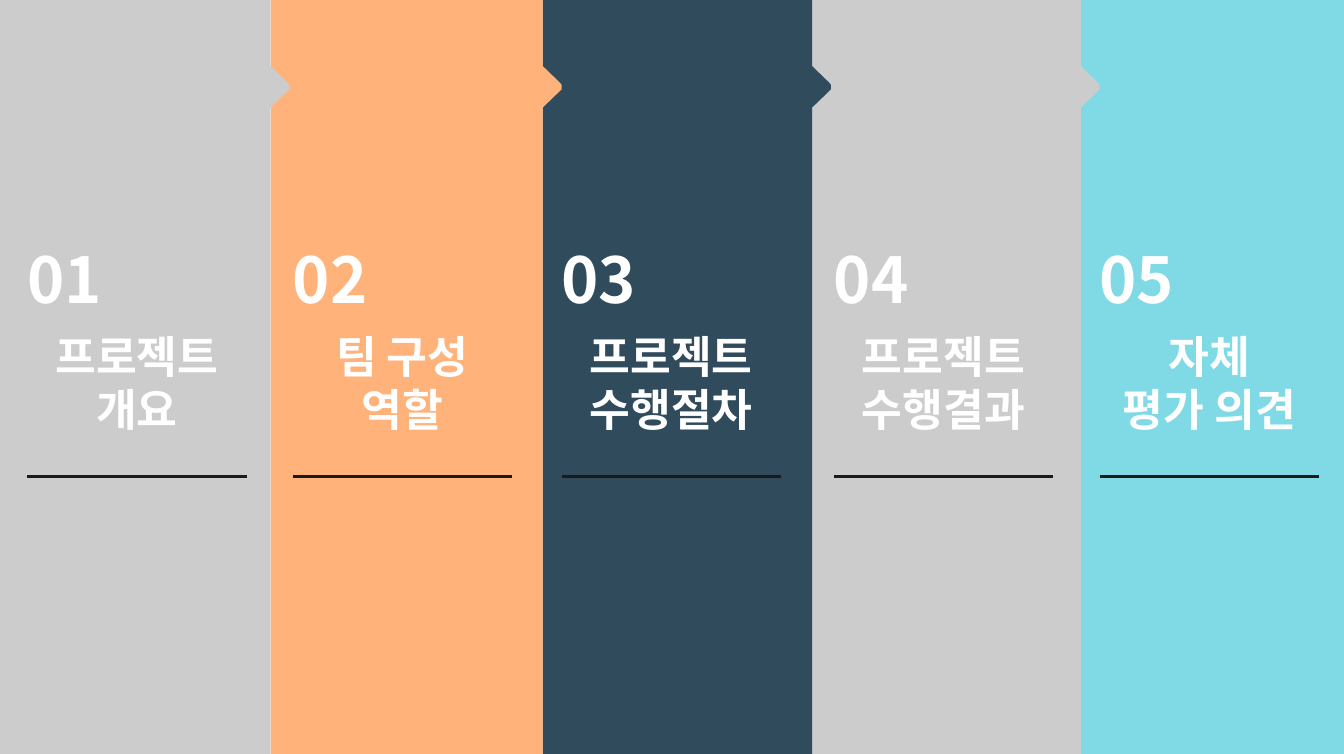
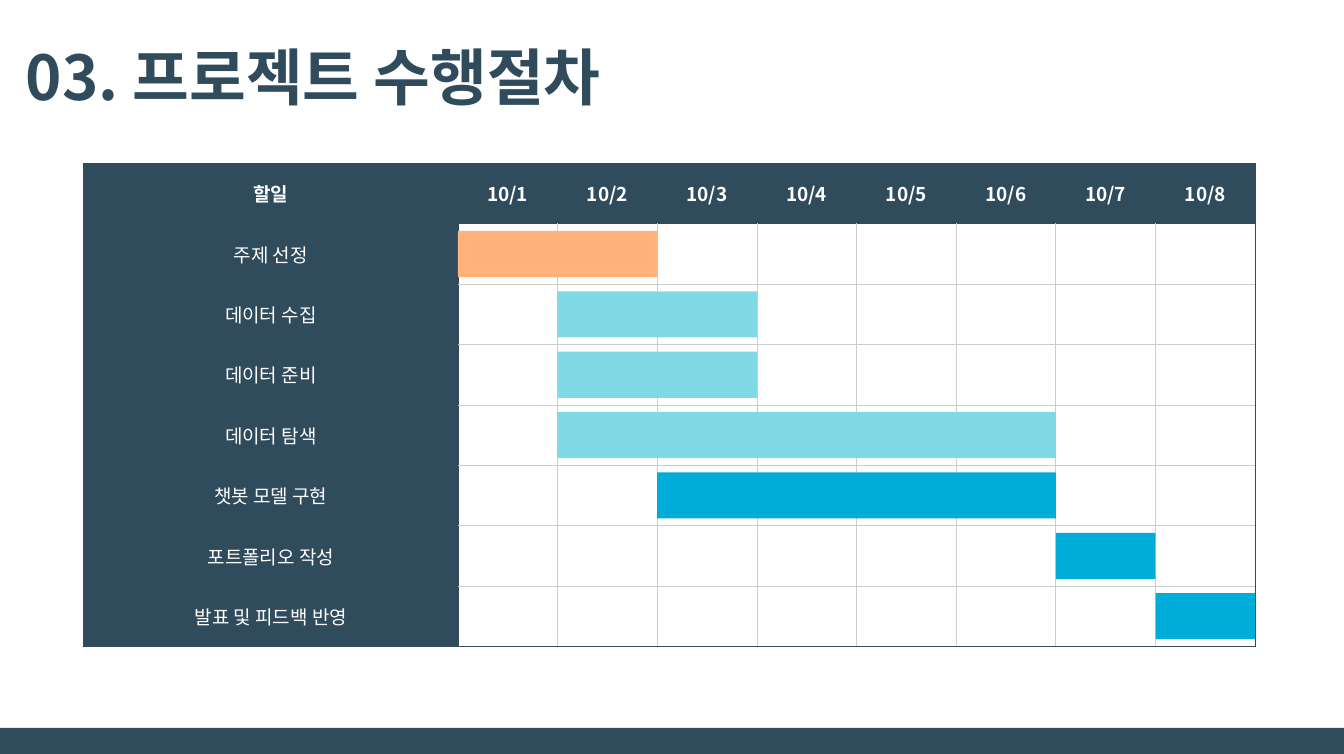
import pptx
import pptx.dml.color
import pptx.enum.shapes
import pptx.enum.text
import pptx.oxml
import pptx.oxml.ns
import pptx.util
from lxml import etree

Inches = pptx.util.Inches
Pt = pptx.util.Pt
ALIGN = pptx.enum.text.PP_ALIGN
ANCHOR = pptx.enum.text.MSO_ANCHOR
qn = pptx.oxml.ns.qn

W, H = 23.6, 13.24
FONT = "Noto Sans CJK KR"
NAVY, GRAY, ORANGE = "2F4B5C", "CCCCCC", "FFB279"
AQUA, BLUE, WHITE, BLACK = "80DAE5", "00ADD8", "FFFFFF", "1A1A1A"

SECTIONS = [
    (0, 4.75, 0.48, GRAY, "프로젝트\n개요"),
    (4.75, 9.53, 5.14, ORANGE, "팀 구성 역할"),
    (9.53, 14.26, 9.86, NAVY, "프로젝트\n수행절차"),
    (14.26, 18.98, 14.64, GRAY, "프로젝트\n수행결과"),
    (18.98, W, 19.31, AQUA, "자체\n평가 의견"),
]
TASKS = [
    ("주제 선정", 1, 2, ORANGE),
    ("데이터 수집", 2, 3, AQUA),
    ("데이터 준비", 2, 3, AQUA),
    ("데이터 탐색", 2, 6, AQUA),
    ("챗봇 모델 구현", 3, 6, BLUE),
    ("포트폴리오 작성", 7, 7, BLUE),
    ("발표 및 피드백 반영", 8, 8, BLUE),
]
DAYS = 8


def rgb(color):
    """Turn a hex string into a colour."""
    return pptx.dml.color.RGBColor.from_string(color)


def paint(sp, color):
    """Give a shape a flat fill without line or shadow."""
    sp.shadow.inherit = False
    sp.fill.solid()
    sp.fill.fore_color.rgb = rgb(color)
    sp.line.fill.background()


def write(tf, text, size, color, bold=True, align=ALIGN.LEFT):
    """Fill a text frame, one paragraph a line, in the deck font."""
    tf.text = text
    for p in tf.paragraphs:
        p.alignment = align
        p.font.size = Pt(size)
        p.font.bold = bold
        p.font.color.rgb = rgb(color)
        p.font.name = FONT
        props = p._p.pPr.find(qn("a:defRPr"))
        etree.SubElement(props, qn("a:ea"), typeface=FONT)


def trim(tf, wrap=True):
    """Remove the insets of a text frame and anchor it at the top."""
    tf.margin_left = tf.margin_right = tf.margin_top = tf.margin_bottom = 0
    tf.vertical_anchor = ANCHOR.TOP
    tf.auto_size = pptx.enum.text.MSO_AUTO_SIZE.NONE
    tf.word_wrap = wrap


def add_text(s, x, y, w, h, text, size, wrap=True, align=ALIGN.LEFT):
    """Add a white bold text box."""
    tf = s.shapes.add_textbox(Inches(x), Inches(y), Inches(w), Inches(h)).text_frame
    trim(tf, wrap)
    write(tf, text, size, WHITE, align=align)


def add_rect(s, x, y, w, h, color):
    """Add a flat rectangle."""
    kind = pptx.enum.shapes.MSO_SHAPE.RECTANGLE
    paint(s.shapes.add_shape(kind, Inches(x), Inches(y), Inches(w), Inches(h)), color)


def add_band(s, left, right, color):
    """Add a full-height band with a pointer on its right edge."""
    edge = [(0, 0), (0, 1.16), (0.3, 1.45), (0.33, 1.49), (0.33, 1.57),
            (0.3, 1.6), (0, 1.89), (0, H)]
    points = [(right + dx, y) for dx, y in edge] + [(left, H)]
    fb = s.shapes.build_freeform(Inches(left), 0, scale=1.0)
    fb.add_line_segments([(Inches(x), Inches(y)) for x, y in points], close=True)
    paint(fb.convert_to_shape(), color)


def add_section(s, x, number, label):
    """Add the number, label and rule of one section."""
    width = 3.85
    add_text(s, x, 4.22, 1.37, 1.35, f"{number:02d}", 80, wrap=False)
    add_text(s, x, 5.78, width, 1.88, label, 56, align=ALIGN.CENTER)
    rule = s.shapes.add_connector(pptx.enum.shapes.MSO_CONNECTOR.STRAIGHT,
                                  Inches(x), Inches(8.36), Inches(x + width), Inches(8.36))
    rule.line.color.rgb = rgb(BLACK)
    rule.line.width = Pt(3.6)
    etree.SubElement(rule._element.spPr, qn("a:effectLst"))


def contents_slide(prs):
    """Build the contents slide with its five bands."""
    s = prs.slides.add_slide(prs.slide_layouts[6])
    for left, right, _, color, _ in reversed(SECTIONS):
        if right < W:
            add_band(s, left, right, color)
        else:
            add_rect(s, left, 0, right - left, H, color)
    for number, (_, _, x, _, label) in enumerate(SECTIONS, 1):
        add_section(s, x, number, label)


def set_borders(cell, colors):
    """Draw the left, right, top and bottom borders of a cell."""
    props = cell._tc.get_or_add_tcPr()
    for i, (side, color) in enumerate(zip("LRTB", colors)):
        ln = etree.Element(qn(f"a:ln{side}"), w=str(Pt(1)))
        fill = etree.SubElement(ln, qn("a:solidFill"))
        etree.SubElement(fill, qn("a:srgbClr"), val=color)
        props.insert(i, ln)


def add_schedule(s, x, y, label_w, day_w, row_h):
    """Add the schedule table and the bars over its days."""
    rows, cols = len(TASKS) + 1, DAYS + 1
    table = s.shapes.add_table(rows, cols, Inches(x), Inches(y),
                               Inches(label_w + DAYS * day_w), Inches(rows * row_h)).table
    table.first_row = table.horz_banding = False
    for c, column in enumerate(table.columns):
        column.width = Inches(day_w if c else label_w)
    heads = ["할일"] + [f"10/{day}" for day in range(1, cols)]
    for r, row in enumerate(table.rows):
        row.height = Inches(row_h)
        for c, cell in enumerate(row.cells):
            head = r == 0 or c == 0
            if head:
                cell.fill.solid()
                cell.fill.fore_color.rgb = rgb(NAVY)
                cell.vertical_anchor = ANCHOR.MIDDLE
                text = TASKS[r - 1][0] if r else heads[c]
                write(cell.text_frame, text, 24, WHITE, r == 0, ALIGN.CENTER)
            else:
                cell.fill.background()
            dark = (c == 1, c == cols - 1, r == 1, r == rows - 1)
            set_borders(cell, [NAVY if head or d else GRAY for d in dark])
    bar_h = 0.81
    for i, (_, first, last, color) in enumerate(TASKS, 1):
        add_rect(s, x + label_w + (first - 1) * day_w, y + i * row_h + (row_h - bar_h) / 2,
                 (last - first + 1) * day_w, bar_h, color)


def schedule_slide(prs):
    """Build the schedule slide with title, table and footer band."""
    s = prs.slides.add_slide(prs.slide_layouts[5])
    title = s.shapes.title
    title.left, title.top = Inches(0.45), Inches(0.68)
    title.width, title.height = Inches(W - 0.9), Inches(1.31)
    trim(title.text_frame)
    write(title.text_frame, "03. 프로젝트 수행절차", 78, NAVY)
    add_rect(s, 0, 12.78, W, 0.46, NAVY)
    add_schedule(s, 1.47, 2.87, 6.57, 1.75, 1.06)


def main():
    """Build and save the deck."""
    prs = pptx.Presentation()
    prs.slide_width, prs.slide_height = Inches(W), Inches(H)
    contents_slide(prs)
    schedule_slide(prs)
    prs.save("out.pptx")


if __name__ == "__main__":
    main()
